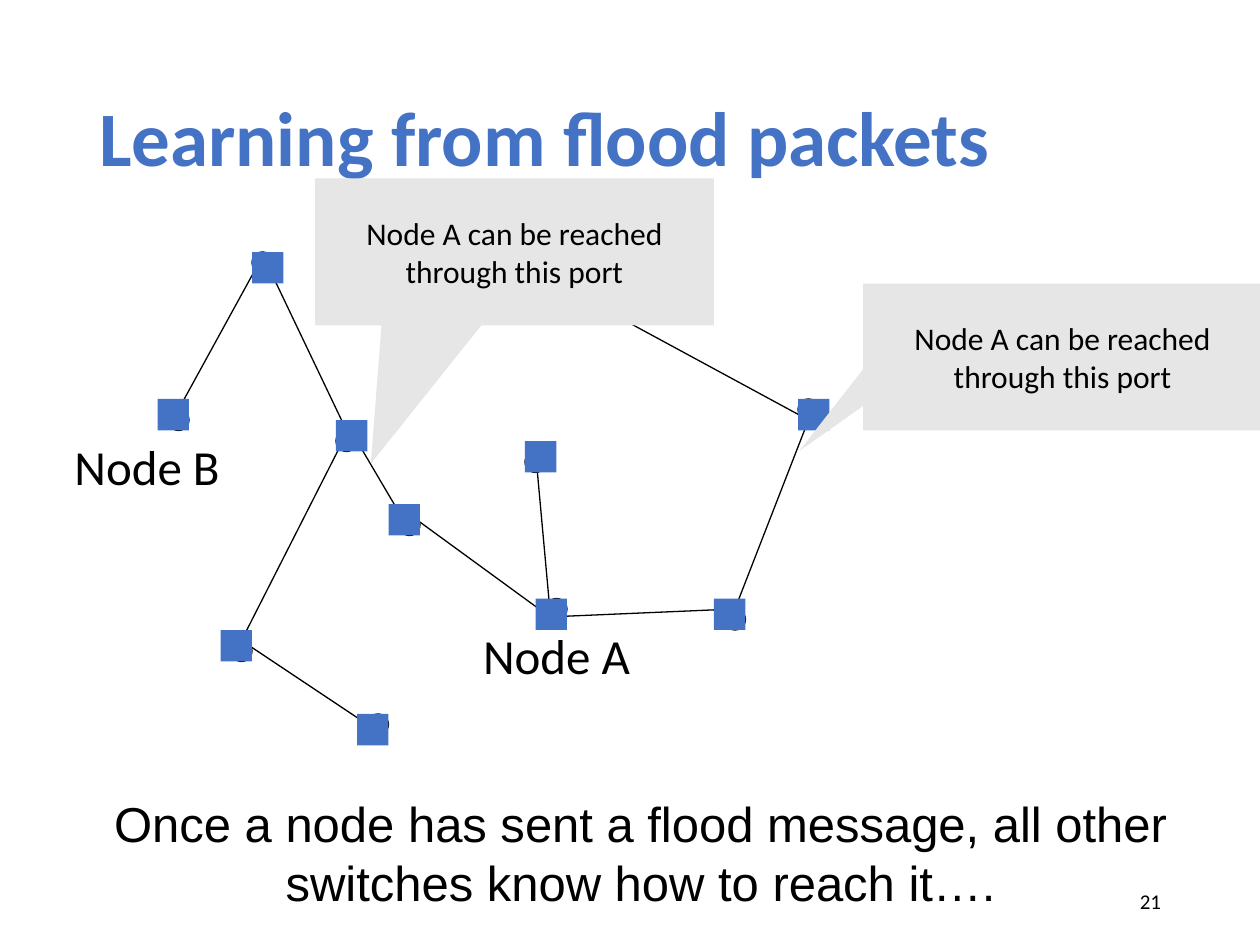
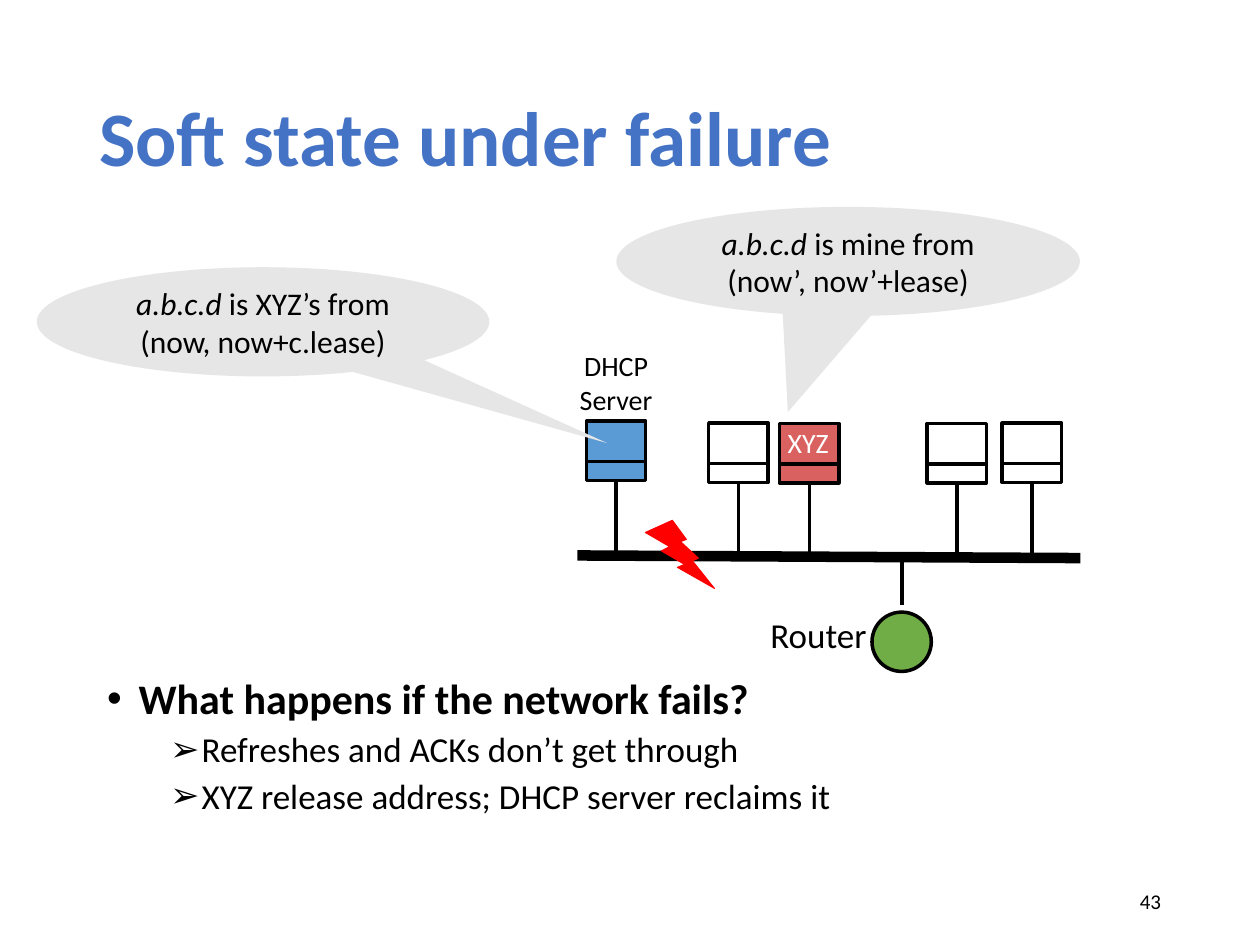
from dataclasses import dataclass

from lxml import etree
from pptx import Presentation, util as u
from pptx.dml.color import RGBColor
from pptx.enum import shapes, text
from pptx.oxml.ns import qn

# Every box is (left, top, width, height) in cells of a 120 x 90 grid
SLIDE_WIDTH, SLIDE_HEIGHT = u.Inches(10), u.Inches(7.5)
COLUMNS, ROWS = 120, 90


@dataclass(frozen=True)
class Theme:
    font: str = "Calibri"
    statement_font: str = "Arial"
    title: str = "4472C4"
    ink: str = "000000"
    paper: str = "FFFFFF"
    callout: str = "E7E6E6"
    switch: str = "4472C4"
    server: str = "5B9BD5"
    client: str = "D9615F"
    router: str = "70AD47"
    failure: str = "FF0000"
    title_size: int = 44
    node_size: int = 28
    heading_size: int = 24
    item_size: int = 20
    callout_size: int = 18
    host_size: int = 16
    number_size: int = 12
    thin: float = 0.75
    medium: float = 2
    thick: float = 6


THEME = Theme()
SHAPE = shapes.MSO_SHAPE
CENTER, LEFT, RIGHT = text.PP_ALIGN.CENTER, text.PP_ALIGN.LEFT, text.PP_ALIGN.RIGHT
MIDDLE = text.MSO_ANCHOR.MIDDLE


# Shared helpers
def x(columns):
    return round(SLIDE_WIDTH * columns / COLUMNS)


def y(rows):
    return round(SLIDE_HEIGHT * rows / ROWS)


def place(box):
    left, top, width, height = box
    return x(left), y(top), x(width), y(height)


def within(region, left, top, width, height):
    return region[0] + left, region[1] + top, width, height


def add_run(paragraph, words, size, color=THEME.ink, font=THEME.font, bold=False, italic=False):
    run = paragraph.add_run()
    run.text = words
    run.font.name, run.font.size = font, u.Pt(size)
    run.font.bold, run.font.italic = bold, italic
    run.font.color.rgb = RGBColor.from_string(color)


def paragraphs_for(frame, count):
    return [frame.paragraphs[0]] + [frame.add_paragraph() for _ in range(count - 1)]


def add_label(slide, box, lines, size, align=CENTER, wrap=True, anchor=text.MSO_ANCHOR.TOP, **style):
    frame = slide.shapes.add_textbox(*place(box)).text_frame
    frame.word_wrap, frame.vertical_anchor = wrap, anchor
    for paragraph, line in zip(paragraphs_for(frame, len(lines)), lines):
        paragraph.alignment = align
        add_run(paragraph, line, size, **style)


def add_figure(slide, kind, box, fill, line=None, width=THEME.thin):
    shape = slide.shapes.add_shape(kind, *place(box))
    shape.shadow.inherit = False
    shape.fill.solid()
    shape.fill.fore_color.rgb = RGBColor.from_string(fill)
    if line:
        shape.line.color.rgb = RGBColor.from_string(line)
        shape.line.width = u.Pt(width)
    else:
        shape.line.fill.background()
    return shape


def add_line(slide, start, end, width):
    line = slide.shapes.add_connector(
        shapes.MSO_CONNECTOR.STRAIGHT, x(start[0]), y(start[1]), x(end[0]), y(end[1]))
    line.line.color.rgb = RGBColor.from_string(THEME.ink)
    line.line.width = u.Pt(width)
    etree.SubElement(line._element.spPr, qn("a:effectLst"))
    return line


def add_callout(slide, kind, box, tail, lines, wrap):
    """Each line is a list of (words, italic) runs."""
    callout = add_figure(slide, kind, box, THEME.callout)
    callout.adjustments[0], callout.adjustments[1] = tail
    frame = callout.text_frame
    frame.word_wrap, frame.vertical_anchor = wrap, MIDDLE
    for paragraph, runs in zip(paragraphs_for(frame, len(lines)), lines):
        paragraph.alignment = CENTER
        for words, italic in runs:
            add_run(paragraph, words, THEME.callout_size, italic=italic)


def add_titled_slide(presentation, layout, title, number):
    slide = presentation.slides.add_slide(presentation.slide_layouts.get_by_name(layout))
    heading = slide.shapes.title
    heading.left, heading.top, heading.width, heading.height = place((8.25, 4.8, 103.5, 17.4))
    heading.text_frame.vertical_anchor = MIDDLE
    paragraph = heading.text_frame.paragraphs[0]
    paragraph.alignment, paragraph.line_spacing = LEFT, 0.9
    add_run(paragraph, title, THEME.title_size, THEME.title, bold=True)
    add_label(slide, (84.75, 83.4, 27, 4.8), [number], THEME.number_size, RIGHT, anchor=MIDDLE)
    return slide


# Flooding network: name -> corner of its dot, corner of its switch
NODES = {
    "junction": ((17, 17), (17, 16)),
    "middle": ((23, 25), (22, 24)),
    "lower left": ((7, 37), (6, 36)),
    "upper left": ((9, 0), (9, 0)),
    "B": ((1, 15), (0, 14)),
    "bottom": ((20, 44), (19, 44)),
    "A": ((37, 33), (36, 33)),
    "lower right": ((54, 34), (53, 33)),
    "inner": ((35, 19), (35, 18)),
    "right": ((61, 14), (61, 14)),
    "top": ((37, 3), (36, 2)),
}
DOT, SWITCH = 2, 3
# Points on the rim of a dot
RIM = {"N": (1, 0), "E": (2, 1), "S": (1, 2), "W": (0, 1),
       "NW": (0.3, 0.3), "SW": (0.3, 1.7), "SE": (1.7, 1.7)}
LINKS = [
    ("upper left", "SE", "junction", "N"),
    ("upper left", "SW", "B", "N"),
    ("junction", "E", "middle", "NW"),
    ("top", "N", "right", "S"),
    ("right", "S", "lower right", "N"),
    ("lower left", "N", "bottom", "W"),
    ("middle", "N", "A", "SW"),
    ("lower right", "N", "A", "SE"),
    ("inner", "N", "A", "NW"),
    ("lower left", "N", "junction", "SW"),
]


def draw_network(slide, region):
    def rim_point(name, side):
        (left, top), (dx, dy) = NODES[name][0], RIM[side]
        return region[0] + left + dx, region[1] + top + dy

    for dot, _ in NODES.values():
        add_figure(slide, SHAPE.OVAL, within(region, *dot, DOT, DOT), THEME.ink, THEME.ink)
    for start, start_side, end, end_side in LINKS:
        add_line(slide, rim_point(start, start_side), rim_point(end, end_side), THEME.thin)
    for name, (_, corner) in NODES.items():
        fill, line = (THEME.ink, THEME.ink) if name == "top" else (THEME.switch, None)
        add_figure(slide, SHAPE.RECTANGLE, within(region, *corner, SWITCH, SWITCH), fill, line)
    for name, left, top in (("A", 21, 35), ("B", -18, 17)):
        add_label(slide, within(region, left, top, 34, 6.8), [f"Node {name}"], THEME.node_size)


def build_flood_slide(presentation):
    slide = add_titled_slide(presentation, "Title Only", "Learning from flood packets", "21")
    draw_network(slide, (15, 24, 64, 47))
    port_lines = [[("Node A can be reached", False)], [("through this port", False)]]
    for left, top, tail in ((82.2, 27, (-0.66, 0.64)), (30, 17, (-0.36, 1.44))):
        add_callout(slide, SHAPE.RECTANGULAR_CALLOUT, (left, top, 38, 14), tail, port_lines, False)
    add_label(slide, (9, 75, 104, 12.5),
              ["Once a node has sent a flood message, all other switches know how to reach it…."],
              THEME.node_size, font=THEME.statement_font)


# Local network: left, top and fill of each host
HOST = 5.65
HOSTS = [(0.85, 0, THEME.server), (12.5, 0.2, THEME.paper), (19.25, 0.25, THEME.client),
         (33.3, 0.25, THEME.paper), (40.45, 0.2, THEME.paper)]
BUS_TOP, SHELF = 12.8, 0.68


def draw_host(slide, box, bus_top):
    left, top, fill = box
    host = add_figure(slide, SHAPE.RECTANGLE, (left, top, HOST, HOST), fill, THEME.ink, THEME.medium)
    shelf = top + SHELF * HOST
    add_line(slide, (left, shelf), (left + HOST, shelf), THEME.medium)
    center = left + HOST / 2
    stem = add_line(slide, (center, top + HOST), (center, bus_top), THEME.medium)
    stem.begin_connect(host, 2)


def draw_lan(slide, region):
    left, top, width, _ = region
    bus_top = top + BUS_TOP
    for host_left, host_top, fill in HOSTS:
        draw_host(slide, (left + host_left, top + host_top, fill), bus_top)
    add_line(slide, (left, bus_top), (left + width, bus_top + 0.25), THEME.thick)

    # Router below the bus
    add_line(slide, (left + 30.9, bus_top), (left + 30.9, top + 17.5), THEME.medium)
    add_figure(slide, SHAPE.OVAL, within(region, 28.05, 18.2, HOST, HOST),
               THEME.router, THEME.ink, THEME.medium)

    # Names and the break in the bus
    add_label(slide, within(region, 17, 17.75, 11.9, 5.15), ["Router"], THEME.item_size, wrap=False)
    add_label(slide, within(region, 18.2, -0.15, 7.55, 4.45), ["XYZ"], THEME.host_size,
              wrap=False, color=THEME.paper)
    add_label(slide, within(region, -1, -7.45, 9.35, 7.7), ["DHCP", "Server"], THEME.host_size,
              wrap=False)
    add_figure(slide, SHAPE.LIGHTNING_BOLT, within(region, 6.45, 9.45, 6.6, 6.5),
               THEME.failure, THEME.failure, 0.5)


def fill_list(body, box, items):
    """Each item is (level, words); level 0 is a bold heading."""
    styles = [("•", 0.25, THEME.heading_size, 10), ("➢", 0.75, THEME.item_size, 5)]
    body.left, body.top, body.width, body.height = place(box)
    frame = body.text_frame
    frame.auto_size = text.MSO_AUTO_SIZE.NONE
    for index, (paragraph, (level, words)) in enumerate(zip(paragraphs_for(frame, len(items)), items)):
        mark, margin, size, space = styles[level]
        paragraph.level = level
        properties = paragraph._p.get_or_add_pPr()
        properties.set("marL", str(u.Inches(margin)))
        properties.set("indent", str(u.Inches(-0.25)))
        etree.SubElement(properties, qn("a:buFont"), typeface=THEME.statement_font)
        etree.SubElement(properties, qn("a:buChar"), char=mark)
        paragraph.line_spacing = 0.9
        paragraph.space_before = u.Pt(space if index else 0)
        add_run(paragraph, words, size, bold=level == 0)


def build_failure_slide(presentation):
    slide = add_titled_slide(presentation, "Title and Content", "Soft state under failure", "43")
    fill_list(slide.placeholders[1], (9, 64, 104, 15), [
        (0, "What happens if the network fails?"),
        (1, "Refreshes and ACKs don’t get through"),
        (1, "XYZ release address; DHCP server reclaims it"),
    ])
    draw_lan(slide, (55, 40.1, 47.9, 24))
    claims = [
        ((58.7, 19.7, 44.15, 10.4), (-0.13, 1.38), " is mine from (now’, now’+lease)"),
        ((3.5, 25.45, 43.1, 10.4), (0.76, 1.11), " is XYZ’s from (now, now+c.lease)"),
    ]
    for box, tail, claim in claims:
        add_callout(slide, SHAPE.OVAL_CALLOUT, box, tail,
                    [[("a.b.c.d", True), (claim, False)]], True)


def main():
    presentation = Presentation()
    presentation.slide_width, presentation.slide_height = SLIDE_WIDTH, SLIDE_HEIGHT
    build_flood_slide(presentation)
    build_failure_slide(presentation)
    presentation.save("out.pptx")


if __name__ == "__main__":
    main()
